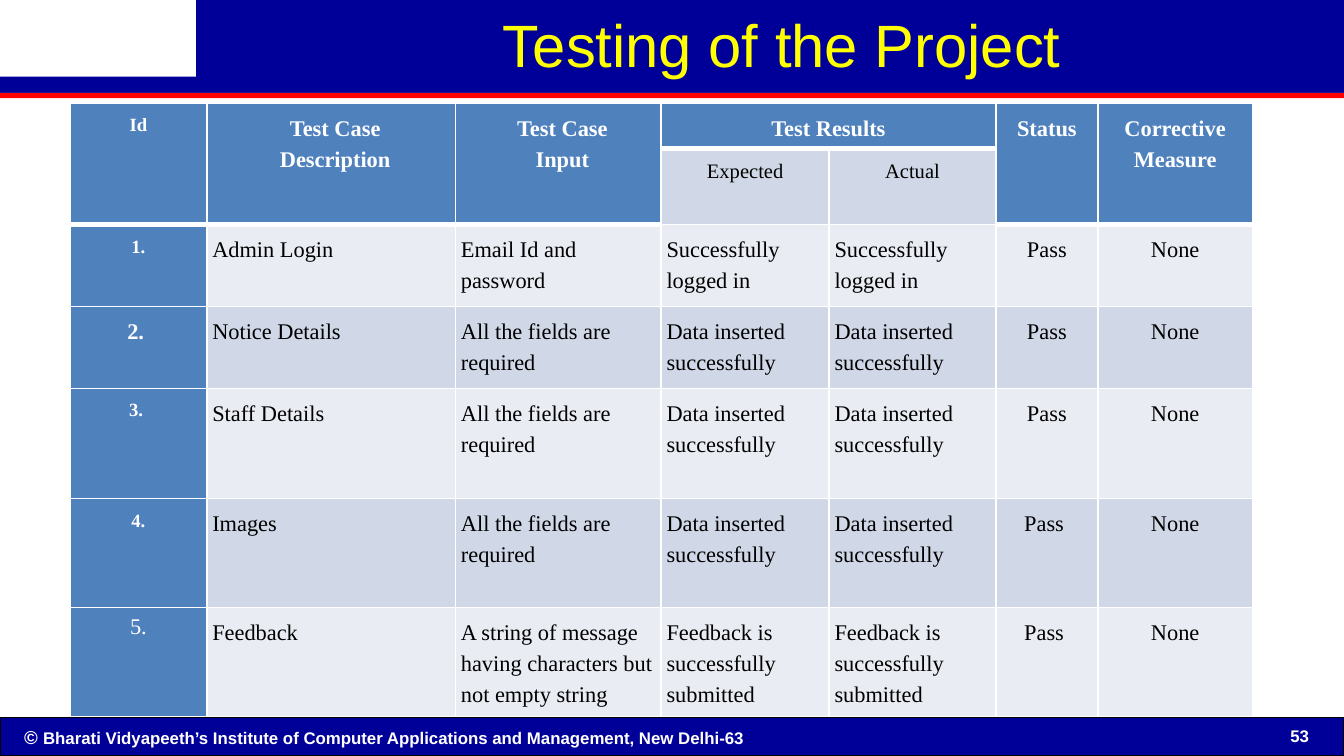
from lxml import etree
from pptx import Presentation
from pptx.dml.color import RGBColor
from pptx.enum import shapes, text
from pptx.oxml import ns
from pptx.util import Inches, Pt

COLORS = {
    "navy": "000099", "red": "FF0000", "yellow": "FFFF00",
    "white": "FFFFFF", "black": "000000",
    "header": "4F81BD", "dark_band": "D0D8E7", "light_band": "E9ECF3",
}
LEFT, CENTER, RIGHT = text.PP_ALIGN.LEFT, text.PP_ALIGN.CENTER, text.PP_ALIGN.RIGHT

COLUMN_WIDTHS = [1.02, 1.85, 1.53, 1.25, 1.24, 0.76, 1.15]
ROW_HEIGHTS = [0.33, 0.57, 0.61, 0.61, 0.82, 0.81, 0.81]
RESULT_COLUMNS = (3, 4)
INDENTED_HEADERS = (1, 2)
CENTERED_COLUMNS = (0, 5, 6)
LARGE_ID_ROWS = (3, 6)
REQUIRED = "All the fields are required"
INSERTED = "Data inserted successfully"
LOGGED_IN = "Successfully logged in"
SUBMITTED = "Feedback is successfully submitted"
ROWS = [
    ["Id", "Test Case\nDescription", "Test Case\nInput", "Test Results", "",
     "Status", "Corrective\nMeasure"],
    ["", "", "", "Expected", "Actual", "", ""],
    ["1.", "Admin Login", "Email Id and password", LOGGED_IN, LOGGED_IN, "Pass", "None"],
    ["2. ", "Notice Details", REQUIRED, INSERTED, INSERTED, "Pass", "None"],
    ["3. ", "Staff Details", REQUIRED, INSERTED, INSERTED, "Pass", "None"],
    ["4.", "Images", REQUIRED, INSERTED, INSERTED, "Pass ", "None"],
    ["5.", "Feedback", "A string of message having characters but not empty string",
     SUBMITTED, SUBMITTED, "Pass ", "None"],
]


def rgb(name):
    return RGBColor.from_string(COLORS[name])


def set_font(font, size, color, name="Arial", bold=False):
    font.size, font.name, font.bold = Pt(size), name, bold
    font.color.rgb = rgb(color)


def set_frame(frame, anchor=text.MSO_ANCHOR.TOP):
    frame.word_wrap = True
    frame.auto_size = text.MSO_AUTO_SIZE.NONE
    frame.vertical_anchor = anchor
    frame.margin_left = frame.margin_right = Inches(0.09)
    frame.margin_top = frame.margin_bottom = Inches(0.04)


def add_bar(slide, left, top, width, height, color, line=None):
    bar = slide.shapes.add_shape(shapes.MSO_SHAPE.RECTANGLE, Inches(left), Inches(top),
                                 Inches(width), Inches(height))
    bar.shadow.inherit = False
    bar.fill.solid()
    bar.fill.fore_color.rgb = rgb(color)
    if line:
        bar.line.color.rgb = rgb(line)
        bar.line.width = Pt(0.75)
    else:
        bar.line.fill.background()


def add_header_bars(slide, left, top, width):
    add_bar(slide, left, top + 0.69, width, 0.04, "red")
    for indent, offset, height in [(1.64, 0, 0.58), (1.46, 0, 0.58),
                                   (0, 0.57, 0.12), (0, 0.63, 0.06)]:
        add_bar(slide, left + indent, top + offset, width - indent, height, "navy")


def place_title(slide, left, top, width, height):
    """Fill the title placeholder and bring it in front of the bars."""
    title = slide.shapes.title
    title.left, title.top = Inches(left), Inches(top)
    title.width, title.height = Inches(width), Inches(height)
    set_frame(title.text_frame)
    title.text_frame.text = "Testing of the Project"
    paragraph = title.text_frame.paragraphs[0]
    paragraph.alignment = CENTER
    set_font(paragraph.font, 32, "yellow")
    slide.shapes._spTree.append(title._element)


def add_footer(slide, left, top, width):
    add_bar(slide, left, top, width, 0.28, "navy", line="black")
    owner = "Bharati Vidyapeeth’s Institute of Computer Applications and Management, New Delhi-63"
    middle = text.MSO_ANCHOR.MIDDLE
    for indent, offset, box_width, anchor, alignment, runs in [
        (0.09, 0.02, 8.64, text.MSO_ANCHOR.TOP, LEFT, [("© ", 10), (owner, 9)]),
        (8.24, 0.01, 1.59, middle, RIGHT, [("53", 9)]),
    ]:
        box = slide.shapes.add_textbox(Inches(left + indent), Inches(top + offset),
                                       Inches(box_width), Inches(0.25))
        set_frame(box.text_frame, anchor)
        paragraph = box.text_frame.paragraphs[0]
        paragraph.alignment = alignment
        for words, size in runs:
            run = paragraph.add_run()
            run.text = words
            set_font(run.font, size, "white", bold=True)


def set_borders(cell, **widths):
    """Draw white borders; must run before the cell is filled."""
    properties = cell._tc.get_or_add_tcPr()
    for side in "LRTB":
        line = etree.SubElement(properties, ns.qn(f"a:ln{side}"),
                                w=str(Pt(widths.get(side, 0.96))))
        fill = etree.SubElement(line, ns.qn("a:solidFill"))
        etree.SubElement(fill, ns.qn("a:srgbClr"), val=COLORS["white"])


def format_cell(cell, row, column):
    header_end = 0 if column in RESULT_COLUMNS else 1
    in_header = row <= header_end
    on_blue = in_header or column == 0
    last = row == len(ROWS) - 1

    set_borders(cell, T=3 if row == header_end + 1 else 0.96,
                B=3 if in_header else 0.06 if last else 0.96)
    cell.fill.solid()
    band = "dark_band" if row % 2 else "light_band"
    cell.fill.fore_color.rgb = rgb("header" if on_blue else band)
    cell.margin_left = cell.margin_right = Inches(0.04)
    cell.margin_top = cell.margin_bottom = Inches(0.05)

    if column == 0:
        size = 12 if row in LARGE_ID_ROWS else 10
    else:
        size = 11 if row == 1 else 12
    last_id = last and column == 0
    cell.text = ROWS[row][column]
    for paragraph in cell.text_frame.paragraphs:
        centered = row < 2 or column in CENTERED_COLUMNS
        paragraph.alignment = CENTER if centered else LEFT
        paragraph.line_spacing = 1.0 if last_id else 1.25
        if in_header and column in INDENTED_HEADERS:
            paragraph._p.get_or_add_pPr().set("marL", str(Inches(0.06)))
        set_font(paragraph.font, size, "white" if on_blue else "black",
                 "Times New Roman", bold=on_blue and not last_id)


def add_test_table(slide, left, top):
    frame = slide.shapes.add_table(len(ROWS), len(COLUMN_WIDTHS), Inches(left), Inches(top),
                                   Inches(sum(COLUMN_WIDTHS)), Inches(sum(ROW_HEIGHTS)))
    table = frame.table
    table.first_row = table.horz_banding = False
    for column, width in zip(table.columns, COLUMN_WIDTHS):
        column.width = Inches(width)
    for row, height in zip(table.rows, ROW_HEIGHTS):
        row.height = Inches(height)
    for row in range(len(ROWS)):
        for column in range(len(COLUMN_WIDTHS)):
            format_cell(table.cell(row, column), row, column)
    table.cell(0, 3).merge(table.cell(0, 4))
    for column in range(len(COLUMN_WIDTHS)):
        if column not in RESULT_COLUMNS:
            table.cell(0, column).merge(table.cell(1, column))


def main():
    presentation = Presentation()
    presentation.slide_width = Inches(10)
    presentation.slide_height = presentation.slide_width * 9 // 16
    slide = presentation.slides.add_slide(presentation.slide_layouts[5])
    add_header_bars(slide, 0, 0, 10)
    add_footer(slide, 0, 5.34, 10)
    place_title(slide, 1.64, 0.02, 8.36, 0.55)
    add_test_table(slide, 0.52, 0.77)
    presentation.save("out.pptx")


if __name__ == "__main__":
    main()
